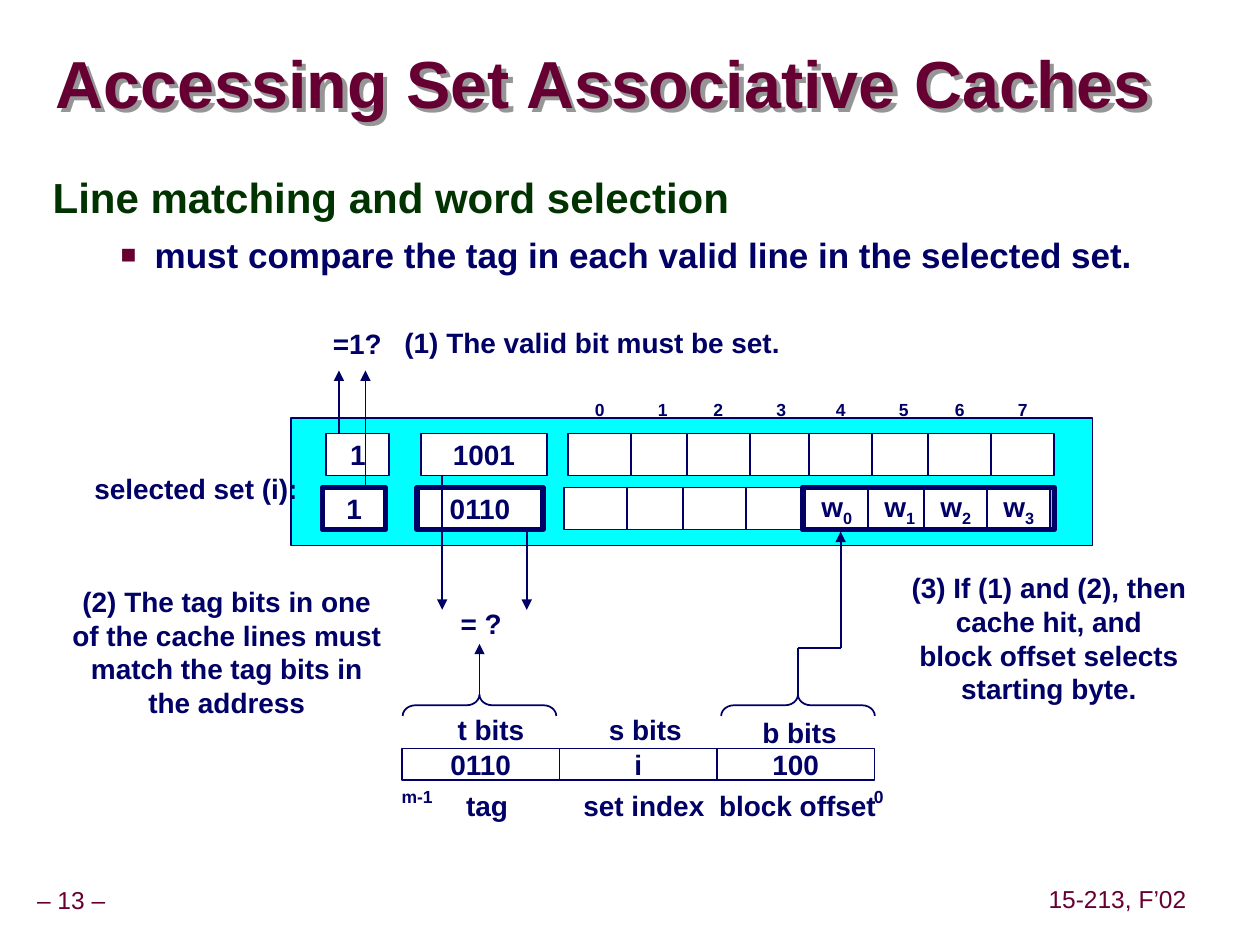
from lxml.etree import SubElement
from pptx import Presentation
from pptx.dml.color import RGBColor
from pptx.enum.shapes import MSO_CONNECTOR, MSO_SHAPE
from pptx.enum.text import MSO_ANCHOR, PP_ALIGN
from pptx.oxml.ns import qn
from pptx.util import Pt

NAVY = RGBColor(0x00, 0x00, 0x66)
MAROON = RGBColor(0x66, 0x00, 0x33)
GREEN = RGBColor(0x00, 0x33, 0x00)
CYAN = RGBColor(0x00, 0xFF, 0xFF)
WHITE = RGBColor(0xFF, 0xFF, 0xFF)
GREY = RGBColor(0x96, 0x96, 0x96)

# Content; boxes are (left, top, width, height) in points
TITLE = "Accessing Set Associative Caches"
HEADING = "Line matching and word selection"
BULLET = "must compare the tag in each valid line in the selected set."
FOOTERS = [("– 13 –", (0, 504, 81.4, 22.3)),
           ("15-213, F’02", (595.4, 503.3, 86.4, 22.3))]

SET_BOX = (166.3, 239, 458, 72.7)
CELL_H = 24
CELL_W = 36
TAG_W = 72
TAG_DX = 54
BLOCK_DX = 138.2
BYTE_DX = [0, 36, 67.7, 103.7, 137.7, 173.7, 205.7, 241.7]
INDEX_TOP = 221.8
# left, top, valid bit, tag, words, line width of valid bit and tag
CACHE_LINES = [
    (184.3, 278.6, "1", "0110", [None] * 4 + ["0", "1", "2", "3"], 3),
    (186.5, 247.7, "1", "1001", [None] * 8, 1),
]
SELECTED_BLOCK = (458.6, 278.6, 144, CELL_H)

FIELDS = ["0110", "i", "100"]
FIELD_LEFT, FIELD_TOP, FIELD_W, FIELD_H = 229.7, 427.7, 90, 18
BRACES = [274, 456]  # x of each tip
BRACE_TOP, BRACE_LENGTH, BRACE_DEPTH = 396.9, 87.8, 12.2

LABELS = [
    ("t bits", (254.2, 403.9, 52.6, 25.9), 16),
    ("s bits", (340.6, 403.9, 56.2, 25.9), 16),
    ("b bits", (428.4, 405.4, 56.9, 25.9), 16),
    ("tag", (259.2, 447.1, 38.2, 25.9), 16),
    ("set index", (326.2, 447.1, 83.5, 25.9), 16),
    ("block offset", (403.9, 447.1, 103.7, 25.9), 16),
    ("m-1", (222.5, 445.7, 31.7, 19.4), 10),
    ("0", (492.5, 445.7, 19.4, 19.4), 10),
    ("selected set (i):", (46.8, 265.7, 130.3, 26.6), 16),
    ("=1?", (182.9, 182.9, 42.5, 26.6), 16),
    ("(1) The valid bit must be set.", (223.9, 182.2, 229, 26.6), 16),
    ("= ?", (256.3, 342.7, 37.4, 26.6), 16),
    ("(2) The tag bits in one\nof the cache lines must\nmatch the tag bits in\nthe address",
     (0, 330.5, 259.2, 84.2), 16),
    ("(3) If (1) and (2), then\ncache hit, and\nblock offset selects\nstarting byte.",
     (485.3, 322.6, 228.2, 84.2), 16),
]

# Each route ends in an arrowhead
ROUTES = [
    [(193.7, 247.7), (193.7, 211.7)],
    [(208.8, 278.6), (208.8, 211.7)],
    [(301, 301.7), (301, 348.5)],
    [(252.7, 271.4), (252.7, 348.5)],
    [(274, 396.9), (274, 367.9)],
    [(456, 399.6), (456, 370.1), (480.4, 370.1), (480.4, 303.8)],
]

prs = Presentation()
prs.slide_width, prs.slide_height = Pt(720), Pt(540)
s = prs.slides.add_slide(prs.slide_layouts[6])


def add_run(p, text, size, color=NAVY, bold=True):
    r = p.add_run()
    r.text = text
    for name, value in {"name": "Arial", "size": Pt(size), "bold": bold}.items():
        setattr(r.font, name, value)
    r.font.color.rgb = color
    return r


def clear_margins(tf):
    for side in ("left", "top", "right", "bottom"):
        setattr(tf, "margin_" + side, 0)


def centre_text(sp, text, size=16, color=NAVY, bold=True):
    tf = sp.text_frame
    clear_margins(tf)
    tf.word_wrap = False
    tf.vertical_anchor = MSO_ANCHOR.MIDDLE
    for i, line in enumerate(text.split("\n")):
        p = tf.paragraphs[0] if i == 0 else tf.add_paragraph()
        p.alignment = PP_ALIGN.CENTER
        add_run(p, line, size, color, bold)
    return tf.paragraphs[0]


def add_text(box):
    return s.shapes.add_textbox(*map(Pt, box))


def add_outline(box, fill=None, width=1, kind=MSO_SHAPE.RECTANGLE):
    sp = s.shapes.add_shape(kind, *map(Pt, box))
    sp.shadow.inherit = False
    if fill is None:
        sp.fill.background()
    else:
        sp.fill.solid()
        sp.fill.fore_color.rgb = fill
    sp.line.color.rgb = NAVY
    sp.line.width = Pt(width)
    return sp


def add_line(start, end, arrow):
    c = s.shapes.add_connector(MSO_CONNECTOR.STRAIGHT, *map(Pt, start + end))
    c.line.color.rgb = NAVY
    c.line.width = Pt(1)
    if arrow:
        SubElement(c.line._get_or_add_ln(), qn("a:tailEnd"), type="triangle")
    SubElement(c._element.spPr, qn("a:effectLst"))


# Footers
for text, box in FOOTERS:
    centre_text(add_text(box), text, 14, MAROON, False).line_spacing = 0.9

# Title; the shadow of an unfilled box falls from its text
sp = add_text((31.7, 19.4, 686.2, 61.2))
effects = SubElement(sp._element.spPr, qn("a:effectLst"))
shadow = SubElement(effects, qn("a:outerShdw"), dist=str(Pt(3.6)), dir="2700000")
SubElement(shadow, qn("a:srgbClr"), val=str(GREY))
tf = sp.text_frame
clear_margins(tf)
tf.word_wrap = True
tf.vertical_anchor = MSO_ANCHOR.MIDDLE
p = tf.paragraphs[0]
p.line_spacing = 0.87
add_run(p, TITLE, 38, MAROON)

# Heading and bullet
tf = add_text((23, 96.5, 654.5, 100)).text_frame
tf.word_wrap = True
p = tf.paragraphs[0]
p.line_spacing = 0.95
add_run(p, HEADING, 24, GREEN)
p = tf.add_paragraph()
p.level = 1
pPr = p._p.get_or_add_pPr()
pPr.set("marL", str(Pt(58.3)))
pPr.set("indent", str(Pt(-19.4)))
SubElement(SubElement(pPr, qn("a:buClr")), qn("a:srgbClr"), val=str(MAROON))
SubElement(pPr, qn("a:buSzPct"), val="75000")
SubElement(pPr, qn("a:buFont"), typeface="Arial")
SubElement(pPr, qn("a:buChar"), char="■")
p.space_before = Pt(6.2)
add_run(p, BULLET, 20)

# Selected set with its two cache lines
add_outline(SET_BOX, CYAN)
for left, top, valid, tag, words, width in CACHE_LINES:
    centre_text(add_outline((left, top, CELL_W, CELL_H), WHITE, width), valid)
    centre_text(add_outline((left + TAG_DX, top, TAG_W, CELL_H), WHITE, width), tag)
    for dx, word in zip(BYTE_DX, words):
        cell = add_outline((left + BLOCK_DX + dx, top, CELL_W, CELL_H), WHITE)
        if word:
            p = centre_text(cell, "w")
            add_run(p, word, 16).font._element.set("baseline", "-25000")
add_outline(SELECTED_BLOCK, width=3)

# Byte numbers above the upper line
for i, dx in enumerate(BYTE_DX):
    box = (CACHE_LINES[1][0] + BLOCK_DX + dx, INDEX_TOP, CELL_W, CELL_H)
    centre_text(add_text(box), str(i), 10)

# Address fields and braces
for i, text in enumerate(FIELDS):
    centre_text(add_outline((FIELD_LEFT + i * FIELD_W, FIELD_TOP, FIELD_W, FIELD_H)), text)
for x in BRACES:
    box = (x - BRACE_DEPTH / 2, BRACE_TOP + (BRACE_DEPTH - BRACE_LENGTH) / 2,
           BRACE_DEPTH, BRACE_LENGTH)
    brace = add_outline(box, kind=MSO_SHAPE.RIGHT_BRACE)
    brace.rotation = 270
    brace.adjustments[0] = 0.6

# Labels and arrows
for text, box, size in LABELS:
    centre_text(add_text(box), text, size)
for route in ROUTES:
    for start, end in zip(route, route[1:]):
        add_line(start, end, end == route[-1])

prs.save("out.pptx")
